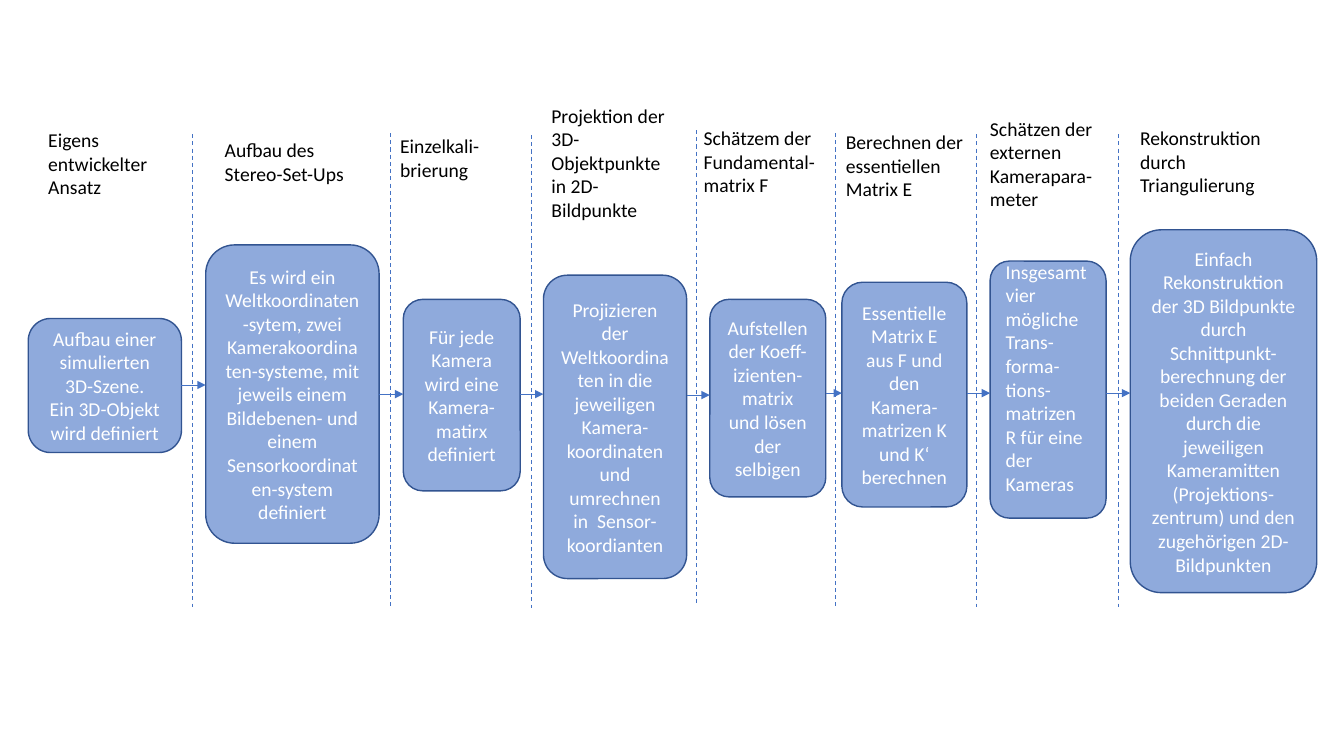
from lxml import etree
from pptx import Presentation
from pptx.dml.color import RGBColor
from pptx.enum.dml import MSO_LINE
from pptx.enum.shapes import MSO_CONNECTOR, MSO_SHAPE
from pptx.enum.text import MSO_ANCHOR, PP_ALIGN
from pptx.oxml.ns import qn
from pptx.util import Inches, Pt

BOX_FILL = RGBColor(0x8F, 0xAA, 0xDC)
BOX_LINE = RGBColor(0x32, 0x54, 0x91)
CONNECTOR = RGBColor(0x44, 0x72, 0xC4)
WHITE = RGBColor(0xFF, 0xFF, 0xFF)
BLACK = RGBColor(0, 0, 0)

# Steps: heading, its left and top, box text, box left, top, width, height
STEPS = [
    ("Eigens entwickelter Ansatz", 0.38, 1.22,
     "Aufbau einer simulierten 3D-Szene.\nEin 3D-Objekt wird definiert",
     0.28, 3.16, 1.52, 1.33),
    ("Aufbau des Stereo-Set-Ups", 2.13, 1.32,
     "Es wird ein Weltkoordinaten-sytem, zwei Kamerakoordinaten-systeme, "
     "mit jeweils einem Bildebenen- und einem Sensorkoordinaten-system definiert",
     2.04, 2.43, 1.72, 2.96),
    ("Einzelkali-brierung", 3.87, 1.28,
     "Für jede Kamera wird eine Kamera-matirx definiert",
     4.0, 2.97, 1.16, 1.9),
    ("Projektion der 3D-Objektpunkte in 2D-Bildpunkte", 5.37, 0.98,
     "Projizieren der Weltkoordinaten in die jeweiligen Kamera-koordinaten "
     "und umrechnen in  Sensor-koordianten",
     5.39, 2.73, 1.42, 3.01),
    ("Schätzem der Fundamental-matrix F", 6.88, 1.2,
     "Aufstellen der Koeff-izienten-matrix und lösen der selbigen",
     7.04, 2.97, 1.15, 1.96),
    ("Berechnen der essentiellen Matrix E", 8.29, 1.24,
     "Essentielle Matrix E aus F und den Kamera-matrizen K und K‘ berechnen",
     8.35, 2.8, 1.24, 2.23),
    ("Schätzen der externen Kamerapara-meter", 9.72, 1.11,
     "Insgesamt vier mögliche Trans-forma-tions-matrizen R für eine der Kameras",
     9.82, 2.59, 1.15, 2.55),
    ("Rekonstruktion durch Triangulierung", 11.21, 1.2,
     "Einfach Rekonstruktion der 3D Bildpunkte durch Schnittpunkt-berechnung "
     "der beiden Geraden durch die jeweiligen Kameramitten "
     "(Projektions-zentrum) und den zugehörigen 2D-Bildpunkten",
     11.21, 2.28, 1.85, 3.6),
]
LEFT_ALIGNED_STEP = 6
HEADING_WIDTH, HEADING_HEIGHT = 1.42, 1.04
ARROW_Y = [3.82, 3.91, 3.91, 3.92, 3.9, 3.9, 3.9]
# Dashed dividers: x and top
DIVIDERS = [(1.91, 1.33), (3.87, 1.32), (5.27, 1.34), (6.91, 1.29),
            (8.29, 1.32), (9.69, 1.33), (11.09, 1.33)]
DIVIDER_HEIGHT = 4.69

prs = Presentation()
prs.slide_width, prs.slide_height = Inches(13.33), Inches(7.5)
slide = prs.slides.add_slide(prs.slide_layouts[6])


def write(shape, text, color, align):
    frame = shape.text_frame
    frame.word_wrap = True
    frame.text = text
    for paragraph in frame.paragraphs:
        paragraph.alignment = align
        font = paragraph.runs[0].font
        font.name, font.size = "Calibri", Pt(14)
        font.color.rgb = color
    return frame


def add_line(x1, y1, x2, y2, width):
    line = slide.shapes.add_connector(
        MSO_CONNECTOR.STRAIGHT, *map(Inches, (x1, y1, x2, y2)))
    line.line.color.rgb = CONNECTOR
    line.line.width = Pt(width)
    etree.SubElement(line._element.spPr, qn("a:effectLst"))
    return line


# Headings and step boxes
for i, (heading, hx, hy, text, *place) in enumerate(STEPS):
    label = slide.shapes.add_textbox(
        *map(Inches, (hx, hy, HEADING_WIDTH, HEADING_HEIGHT)))
    write(label, heading, BLACK, PP_ALIGN.LEFT)

    box = slide.shapes.add_shape(MSO_SHAPE.ROUNDED_RECTANGLE, *map(Inches, place))
    box.shadow.inherit = False
    box.fill.solid()
    box.fill.fore_color.rgb = BOX_FILL
    box.line.color.rgb = BOX_LINE
    box.line.width = Pt(1)
    left_aligned = i == LEFT_ALIGNED_STEP
    frame = write(box, text, WHITE, PP_ALIGN.LEFT if left_aligned else PP_ALIGN.CENTER)
    frame.vertical_anchor = MSO_ANCHOR.MIDDLE
    if left_aligned:
        frame.margin_bottom = Inches(0.29)

# Arrows from each box to the next
for step, following, y in zip(STEPS, STEPS[1:], ARROW_Y):
    arrow = add_line(step[4] + step[6], y, following[4], y, 0.5)
    etree.SubElement(arrow.line._get_or_add_ln(), qn("a:tailEnd"), type="triangle")

# Dashed dividers between the columns
for x, top in DIVIDERS:
    add_line(x, top, x, top + DIVIDER_HEIGHT, 0.75).line.dash_style = MSO_LINE.DASH

prs.save("out.pptx")
